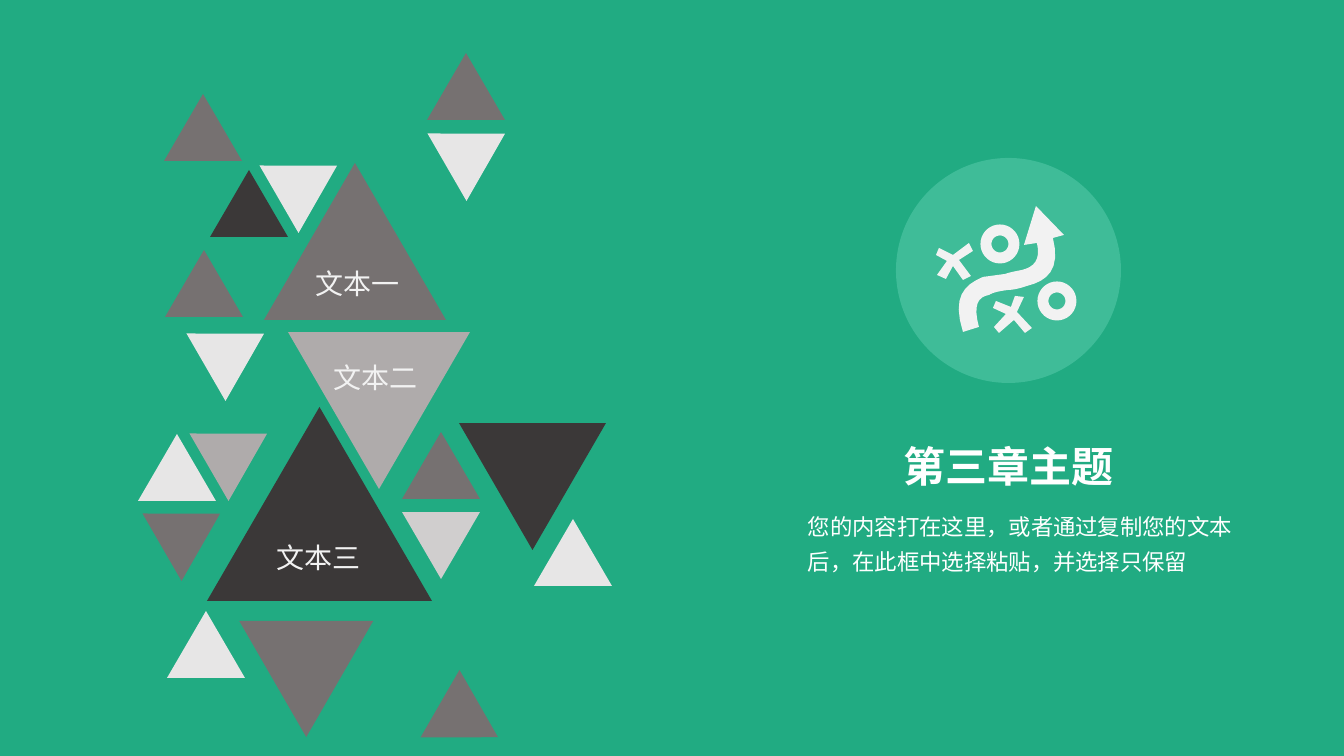
import dataclasses
import math

import lxml.etree
import pptx
import pptx.dml.color
import pptx.enum.shapes
import pptx.enum.text
import pptx.oxml.ns
import pptx.util

SCALE = 914400 / 100.8
KIND = pptx.enum.shapes.MSO_SHAPE
ALIGN = pptx.enum.text.PP_ALIGN
STEPS = 8


@dataclasses.dataclass(frozen=True)
class Theme:
    """Colours, font and type sizes of the slide."""
    ground: str = "21AB82"
    disc: str = "5DCEAF"
    white: str = "FFFFFF"
    pale: str = "F2F2F2"
    light: str = "E7E6E6"
    soft: str = "D0CECE"
    mid: str = "AFABAB"
    grey: str = "767171"
    dark: str = "3B3838"
    font: str = "Noto Sans CJK SC"
    title: int = 30
    label: int = 20
    body: int = 16


def px(value):
    """Turn pixels into EMU."""
    return pptx.util.Emu(round(value * SCALE))


def rgb(code):
    """Turn a hex code into a colour."""
    return pptx.dml.color.RGBColor.from_string(code)


def sub(parent, tag, **attrs):
    """Add an XML child in the drawing namespace."""
    return lxml.etree.SubElement(parent, pptx.oxml.ns.qn(tag), **attrs)


def ring(x, y, radius):
    """List the points of a circle."""
    turns = [math.tau * i / 36 for i in range(36)]
    return [(x + radius * math.cos(t), y + radius * math.sin(t)) for t in turns]


def trace(steps):
    """Flatten lines (two numbers) and cubic curves (six) into points."""
    points = []
    for step in steps:
        if len(step) == 2:
            points.append(step)
            continue
        knots = [points[-1], step[:2], step[2:4], step[4:]]
        for i in range(1, STEPS + 1):
            t = i / STEPS
            parts = [math.comb(3, k) * t ** k * (1 - t) ** (3 - k) for k in range(4)]
            points.append(tuple(sum(w * knot[axis] for w, knot in zip(parts, knots))
                                for axis in (0, 1)))
    return points


class Deck:
    """Holds the style and the current slide."""

    def __init__(self, theme, wide, high):
        """Start a deck with one blank slide."""
        self.theme = theme
        self.show = pptx.Presentation()
        self.show.slide_width, self.show.slide_height = px(wide), px(high)
        self.slide = self.show.slides.add_slide(self.show.slide_layouts[6])
        fill = self.slide.background.fill
        fill.solid()
        fill.fore_color.rgb = rgb(theme.ground)

    def paint(self, shape, color):
        """Give a shape a flat fill with no line or shadow."""
        shape.shadow.inherit = False
        shape.line.fill.background()
        shape.fill.solid()
        shape.fill.fore_color.rgb = rgb(color)
        return shape

    def shape(self, kind, x, y, w, h, color):
        """Add a preset shape."""
        box = self.slide.shapes.add_shape(kind, px(x), px(y), px(w), px(h))
        return self.paint(box, color)

    def disc(self, x, y, size, color, alpha):
        """Add a see-through circle; alpha is in percent."""
        shape = self.shape(KIND.OVAL, x, y, size, size, color)
        tone = next(shape.element.spPr.iter(pptx.oxml.ns.qn("a:srgbClr")))
        sub(tone, "a:alpha", val=str(alpha * 1000))

    def wedge(self, x, y, color, wide=78, turn=0):
        """Add an equal-sided triangle."""
        shape = self.shape(KIND.ISOSCELES_TRIANGLE, x, y, wide,
                           round(wide * 0.862), color)
        shape.rotation = turn

    def outline(self, loops, color):
        """Add one free shape made of closed loops."""
        pen = None
        for loop in loops:
            start, *rest = [(px(x), px(y)) for x, y in loop]
            if pen is None:
                pen = self.slide.shapes.build_freeform(*start, scale=1.0)
            else:
                pen.move_to(*start)
            pen.add_line_segments(rest, close=True)
        self.paint(pen.convert_to_shape(), color)

    def text(self, x, y, w, h, words, size, color, bold=False,
             align=ALIGN.CENTER, wrap=False, lead=None):
        """Add a text box with one run."""
        frame = self.slide.shapes.add_textbox(px(x), px(y), px(w), px(h)).text_frame
        frame.word_wrap = wrap
        para = frame.paragraphs[0]
        para.alignment = align
        para.line_spacing = lead
        run = para.add_run()
        run.text = words
        font = run.font
        font.name, font.size, font.bold = self.theme.font, pptx.util.Pt(size), bold
        font.color.rgb = rgb(color)
        sub(run._r.get_or_add_rPr(), "a:ea", typeface=self.theme.font)


ARROW = [
    (963, 332), (952, 297, 964, 285, 983, 277), (990, 276, 998, 275, 1005, 274),
    (1011, 272, 1017, 271, 1022, 270), (1034, 267, 1041, 260, 1037, 243),
    (1024, 245), (1036, 206), (1064, 235), (1053, 238),
    (1061, 270, 1047, 281, 1027, 286), (1021, 288, 1014, 290, 1008, 290),
    (1001, 291, 994, 292, 989, 295), (978, 297, 973, 305, 979, 327),
]
CROSSES = [
    [(939, 248), (936, 255), (947, 261), (937, 275), (946, 279), (953, 266),
     (963, 280), (971, 276), (959, 260), (973, 251), (969, 243), (953, 255)],
    [(1024, 297), (1015, 296), (1011, 307), (996, 301), (993, 308), (1006, 314),
     (994, 327), (999, 333), (1014, 320), (1025, 333), (1032, 328), (1017, 312)],
]
RINGS = [ring(x, y, r) for x, y in [(1057, 301), (1000, 244)] for r in (19.5, 8.5)]

look = Theme()
WEDGES = [
    (165, 250, look.grey), (427, 53, look.grey), (196, 317, look.light, 78, 60),
    (288, 332, look.mid, 182, 180), (207, 407, look.dark, 225),
    (167, 611, look.light), (138, 434, look.light), (164, 94, look.grey),
    (210, 170, look.dark), (269, 149, look.light, 78, 60),
    (437, 117, look.light, 78, 60), (152, 497, look.grey, 78, 60),
    (459, 423, look.dark, 147, 180), (402, 432, look.grey),
    (402, 512, look.soft, 78, 180), (199, 417, look.mid, 78, 60),
    (256, 592, look.grey, 134, 60), (534, 519, look.light),
    (264, 163, look.grey, 182), (430, 687, look.grey, 78, 120),
]
LABELS = [(305, 262, "文本一"), (323, 356, "文本二"), (266, 536, "文本三")]

deck = Deck(look, 1344, 756)
deck.text(892, 436, 233, 61, "第三章主题", look.title, look.white, bold=True)
deck.disc(896, 158, 225, look.disc, 50)
deck.outline([trace(ARROW), *CROSSES, *RINGS], look.pale)
for wedge in WEDGES:
    deck.wedge(*wedge)
for x, y, words in LABELS:
    deck.text(x, y, 105, 44, words, look.label, look.pale)
deck.text(798, 500, 446, 82,
          "您的内容打在这里，或者通过复制您的文本后，在此框中选择粘贴，并选择只保留",
          look.body, look.white, align=ALIGN.LEFT, wrap=True, lead=1.3)
deck.show.save("out.pptx")
